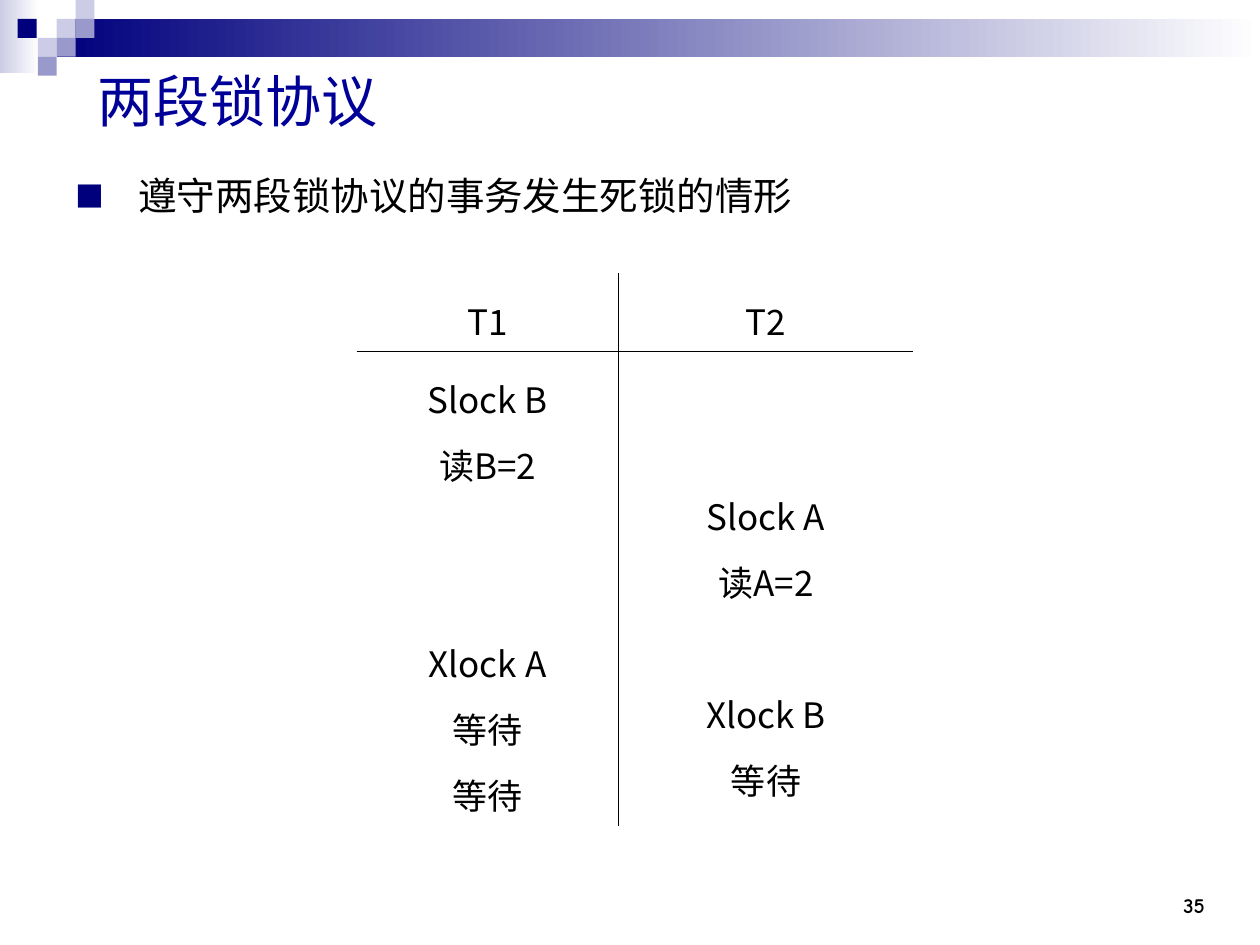
from dataclasses import dataclass

import lxml.etree
import pptx
import pptx.dml.color
import pptx.enum.shapes
import pptx.enum.text
import pptx.oxml.ns
import pptx.util
from pptx.util import Inches

COLORS = {
    "navy": "00007D",
    "title": "000099",
    "mid": "9999CC",
    "pale": "CCCCE6",
    "white": "FFFFFF",
    "black": "000000",
}
CJK_FONT = "Noto Sans CJK SC"
TITLE_FONT = "Comic Neue"
BODY_FONT = "Noto Sans Mono"
SQUARE = 0.15
LINE_PT = 37.65  # height of one table line, 20 pt at 1.3 spacing
PP_ALIGN = pptx.enum.text.PP_ALIGN
ANCHOR = pptx.enum.text.MSO_ANCHOR


@dataclass
class Block:
    """A filled rectangle; with end set, the fill fades from color to end."""
    left: float
    top: float
    width: float
    height: float
    color: str
    end: str = ""


@dataclass
class Step:
    text: str
    lines_before: int = 0


@dataclass
class Cell:
    row: int
    col: int
    steps: list[Step]
    borders: tuple[str, ...]
    margin_top: float = 0.05


def square(col: float, row: float, color: str) -> Block:
    return Block(col * SQUARE, row * SQUARE, SQUARE, SQUARE, color)


BLOCKS = [
    Block(0, 0, 0.31, 0.58, "pale", "white"),
    Block(0.45, 0.15, 9.55, 0.3, "navy", "white"),
    square(3, 1, "pale"),
    square(4, 0, "pale"),
    square(4, 1, "mid"),
    square(2, 2, "pale"),
    Block(0.14, 0.15, SQUARE, SQUARE, "navy"),
    square(3, 2, "mid"),
    square(2, 3, "mid"),
]

CELLS = [
    Cell(0, 0, [Step("T1")], ("R", "B")),
    Cell(0, 1, [Step("T2")], ("L", "B")),
    Cell(1, 0, [Step("Slock B"), Step("读B=2"), Step("Xlock A", 2),
                Step("等待"), Step("等待")], ("R", "T")),
    Cell(1, 1, [Step("Slock A"), Step("读A=2"), Step("Xlock B", 1),
                Step("等待")], ("L", "T"), margin_top=0.98),
]


def rgb(name: str) -> pptx.dml.color.RGBColor:
    return pptx.dml.color.RGBColor.from_string(COLORS[name])


def add_xml(parent, tag: str, **attrs: str):
    return lxml.etree.SubElement(parent, pptx.oxml.ns.qn(tag), attrs)


def format_run(r, font: str, size: float, color: str, bold: bool = False) -> None:
    r.font.name = font
    r.font.size = pptx.util.Pt(size)
    r.font.bold = bold
    r.font.color.rgb = rgb(color)
    add_xml(r.font._element, "a:ea", typeface=CJK_FONT)


def place(s, left: float, top: float, width: float, height: float) -> None:
    s.left, s.top = Inches(left), Inches(top)
    s.width, s.height = Inches(width), Inches(height)


def draw_block(slide, block: Block) -> None:
    s = slide.shapes.add_shape(
        pptx.enum.shapes.MSO_SHAPE.RECTANGLE, Inches(block.left),
        Inches(block.top), Inches(block.width), Inches(block.height))
    s.shadow.inherit = False
    s.line.fill.background()
    if block.end:
        s.fill.gradient()
        s.fill.gradient_angle = 0
        for stop, name in zip(s.fill.gradient_stops, (block.color, block.end)):
            stop.color.rgb = rgb(name)
    else:
        s.fill.solid()
        s.fill.fore_color.rgb = rgb(block.color)


def fill_title(slide) -> None:
    s = slide.shapes.title
    place(s, 0.67, 0.42, 9, 0.75)
    tf = s.text_frame
    tf.text = "两段锁协议"
    tf.vertical_anchor = ANCHOR.MIDDLE
    p = tf.paragraphs[0]
    p.alignment = PP_ALIGN.LEFT
    format_run(p.runs[0], TITLE_FONT, 32, "title")


def fill_body(slide) -> None:
    s = slide.placeholders[1]
    place(s, 0.5, 1.17, 9.17, 5.83)
    tf = s.text_frame
    tf.text = "遵守两段锁协议的事务发生死锁的情形"
    p = tf.paragraphs[0]
    pPr = p._p.get_or_add_pPr()
    pPr.set("marL", str(Inches(0.5)))
    pPr.set("indent", str(Inches(-0.5)))
    add_xml(add_xml(pPr, "a:buClr"), "a:srgbClr", val=COLORS["navy"])
    add_xml(pPr, "a:buSzPct", val="75000")
    add_xml(pPr, "a:buFont", typeface=CJK_FONT)
    add_xml(pPr, "a:buChar", char="■")
    p.line_spacing = 1.4
    p.space_before = pptx.util.Pt(0)
    format_run(p.runs[0], BODY_FONT, 22, "black")


def set_borders(cell, sides: tuple[str, ...]) -> None:
    """Draw thin black lines on the given sides and none on the others."""
    tcPr = cell._tc.get_or_add_tcPr()
    for i, side in enumerate("LRTB"):
        ln = add_xml(tcPr, f"a:ln{side}", w=str(pptx.util.Pt(0.45)))
        if side in sides:
            fill = add_xml(ln, "a:solidFill")
            add_xml(fill, "a:srgbClr", val=COLORS["black"])
        else:
            add_xml(ln, "a:noFill")
        tcPr.insert(i, ln)


def fill_cell(table, item: Cell) -> None:
    cell = table.cell(item.row, item.col)
    cell.fill.background()
    set_borders(cell, item.borders)
    cell.margin_top = Inches(item.margin_top)
    tf = cell.text_frame
    tf.text = "\n".join(step.text for step in item.steps)
    for p, step in zip(tf.paragraphs, item.steps):
        p.alignment = PP_ALIGN.CENTER
        p.line_spacing = 1.3
        if step.lines_before:
            p.space_before = pptx.util.Pt(step.lines_before * LINE_PT)
        format_run(p.runs[0], CJK_FONT, 20, "black")


def draw_schedule(slide) -> None:
    table = slide.shapes.add_table(
        2, 2, Inches(2.83), Inches(2.17), Inches(4.42), Inches(4.39)).table
    table.first_row = table.horz_banding = False
    for column, width in zip(table.columns, (2.08, 2.34)):
        column.width = Inches(width)
    for row, height in zip(table.rows, (0.62, 3.77)):
        row.height = Inches(height)
    for item in CELLS:
        fill_cell(table, item)


def draw_page_number(slide) -> None:
    s = slide.shapes.add_textbox(
        Inches(8.83), Inches(6.83), Inches(0.83), Inches(0.5))
    tf = s.text_frame
    tf.word_wrap = True
    tf.vertical_anchor = ANCHOR.BOTTOM
    tf.text = "35"
    p = tf.paragraphs[0]
    p.alignment = PP_ALIGN.RIGHT
    format_run(p.runs[0], TITLE_FONT, 12, "black", bold=True)


def main() -> None:
    prs = pptx.Presentation()
    prs.slide_width, prs.slide_height = Inches(10), Inches(7.5)
    slide = prs.slides.add_slide(prs.slide_layouts[1])
    for block in BLOCKS:
        draw_block(slide, block)
    draw_page_number(slide)
    fill_title(slide)
    fill_body(slide)
    draw_schedule(slide)
    prs.save("out.pptx")


if __name__ == "__main__":
    main()
